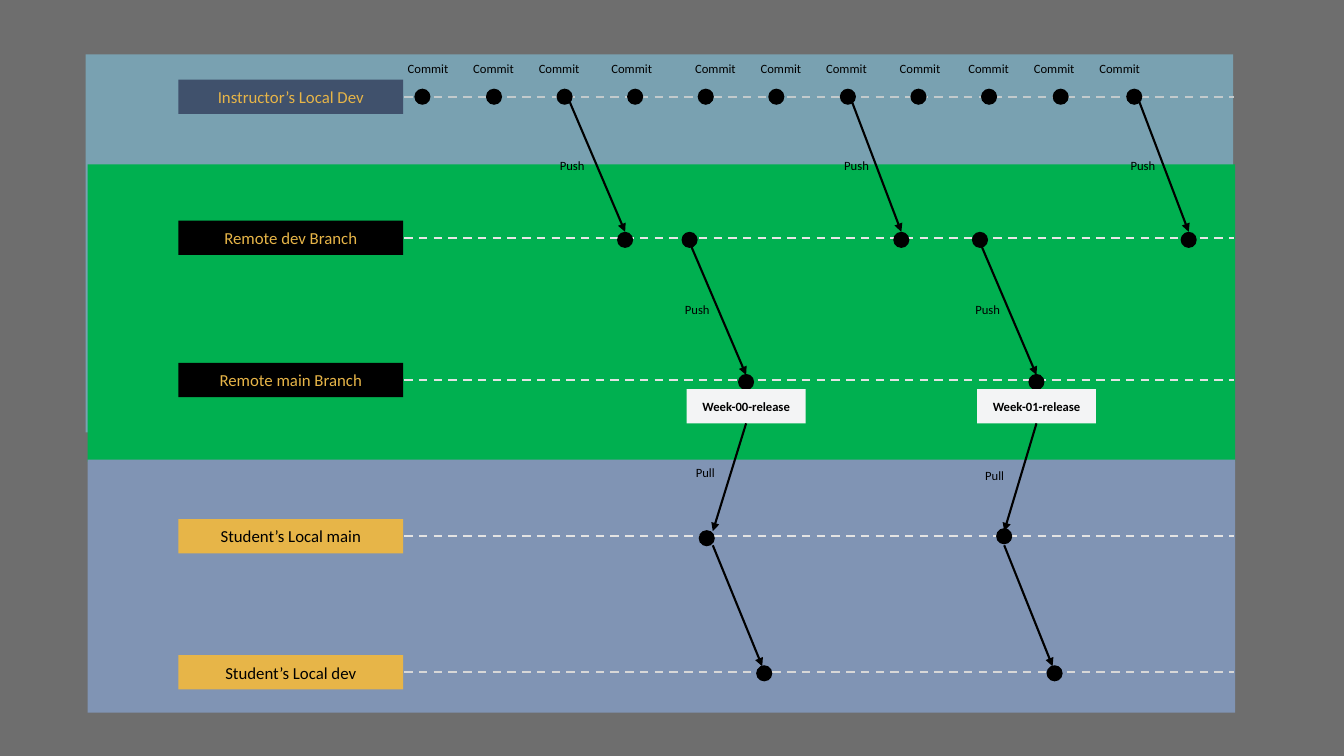
from pptx import Presentation
from pptx.dml.color import RGBColor
from pptx.enum.dml import MSO_LINE
from pptx.enum.shapes import MSO_CONNECTOR, MSO_SHAPE
from pptx.enum.text import MSO_ANCHOR, PP_ALIGN
from pptx.oxml.ns import qn
from pptx.util import Emu, Pt
from lxml import etree

RECT = MSO_SHAPE.RECTANGLE
OVAL = MSO_SHAPE.OVAL
STRAIGHT = MSO_CONNECTOR.STRAIGHT
DASH = MSO_LINE.DASH
MIDDLE = MSO_ANCHOR.MIDDLE
CENTER = PP_ALIGN.CENTER
EMU_PER_PX = 9144
BLACK, GOLD, NAVY, WHITE = "000000", "E7B548", "40516C", "F3F4F5"


def px(length):
    return Emu(length * EMU_PER_PX)


def color(value):
    return RGBColor.from_string(value)


def write(frame, text, size=9, ink=BLACK, bold=False, font="Calibri"):
    frame.word_wrap = True
    frame.vertical_anchor = MIDDLE
    frame.margin_left = frame.margin_right = 0
    frame.margin_top = frame.margin_bottom = 0
    paragraph = frame.paragraphs[0]
    paragraph.alignment = CENTER
    run = paragraph.add_run()
    run.text = text
    run.font.name = font
    run.font.size = Pt(size)
    run.font.bold = bold
    run.font.color.rgb = color(ink)


class Diagram:
    dot_size = 16
    label_height = 34
    line_width = 1.5

    def __init__(self, slide, background):
        self.shapes = slide.shapes
        slide.background.fill.solid()
        slide.background.fill.fore_color.rgb = color(background)

    def block(self, left, top, width, height, fill, kind=RECT):
        shape = self.shapes.add_shape(kind, px(left), px(top), px(width), px(height))
        shape.shadow.inherit = False
        shape.fill.solid()
        shape.fill.fore_color.rgb = color(fill)
        shape.line.fill.background()
        return shape

    def tag(self, left, top, width, fill, text, **style):
        shape = self.block(left, top, width, self.label_height, fill)
        write(shape.text_frame, text, **style)

    def caption(self, left, top, width, text):
        box = self.shapes.add_textbox(px(left), px(top), px(width), px(self.label_height))
        write(box.text_frame, text)

    def dot(self, center, middle):
        size = self.dot_size
        self.block(center - size // 2, middle - size // 2, size, size, BLACK, OVAL)

    def line(self, x1, y1, x2, y2, ink):
        connector = self.shapes.add_connector(STRAIGHT, px(x1), px(y1), px(x2), px(y2))
        connector.line.color.rgb = color(ink)
        connector.line.width = Pt(self.line_width)
        etree.SubElement(connector.element.spPr, qn("a:effectLst"))
        return connector

    def lane(self, middle, ink):
        self.line(401, middle, 1224, middle, ink).line.dash_style = DASH

    def arrow(self, x1, y1, x2, y2):
        connector = self.line(x1, y1, x2, y2, BLACK)
        outline = connector.element.spPr.find(qn("a:ln"))
        etree.SubElement(outline, qn("a:tailEnd"), type="triangle")


BANDS = [
    (85, 54, 375, "79A1B1"),
    (87, 163, 295, "00B050"),
    (87, 456, 251, "8094B4"),
]
LANES = [
    ("Instructor’s Local Dev", 96, "C2CACC", NAVY, GOLD),
    ("Remote dev Branch", 236, "E7E7E7", BLACK, GOLD),
    ("Remote main Branch", 377, "E3E3E3", BLACK, GOLD),
    ("Student’s Local main", 532, "E3E3E3", GOLD, BLACK),
    ("Student’s Local dev", 667, "D7D7D7", GOLD, BLACK),
]
COMMITS = [
    (390, 419), (455, 490), (520, 560), (592, 630), (675, 700), (740, 770),
    (805, 841), (878, 911), (946, 981), (1011, 1052), (1076, 1125),
]
DEV_PUSHES = [(565, 620, 538), (845, 894, 820), (1130, 1179, 1104)]
RELEASES = [
    ("Week-00-release", 740, (707, 701, 534), (670, 452)),
    ("Week-01-release", 1028, (996, 996, 532), (957, 455)),
]


def main():
    deck = Presentation()
    deck.slide_width, deck.slide_height = px(1333), px(750)
    diagram = Diagram(deck.slides.add_slide(deck.slide_layouts[6]), "6E6E6E")

    for left, top, height, fill in BANDS:
        diagram.block(left, top, 1138, height, fill)

    for name, middle, dash_ink, fill, ink in LANES:
        diagram.lane(middle, dash_ink)
        diagram.tag(177, middle - 17, 223, fill, name, size=12, ink=ink)

    for caption_left, commit in COMMITS:
        diagram.caption(caption_left, 51, 69, "Commit")
        diagram.dot(commit, 96)

    for start, end, caption_left in DEV_PUSHES:
        diagram.arrow(start, 101, end, 230)
        diagram.caption(caption_left, 147, 59, "Push")
        diagram.dot(end, 238)

    for name, main_x, (pull_end, local_x, local_y), pull_caption in RELEASES:
        diagram.dot(main_x - 56, 238)
        diagram.arrow(main_x - 55, 243, main_x, 372)
        diagram.caption(main_x - 78, 290, 59, "Push")
        diagram.dot(main_x, 379)
        diagram.tag(main_x - 59, 386, 118, WHITE, name, bold=True)
        diagram.arrow(main_x, 420, pull_end, 527)
        diagram.caption(*pull_caption, 59, "Pull")
        diagram.dot(local_x, local_y)
        diagram.arrow(pull_end, 541, main_x + 16, 661)
        diagram.dot(main_x + 18, 668)

    deck.save("out.pptx")


if __name__ == "__main__":
    main()
